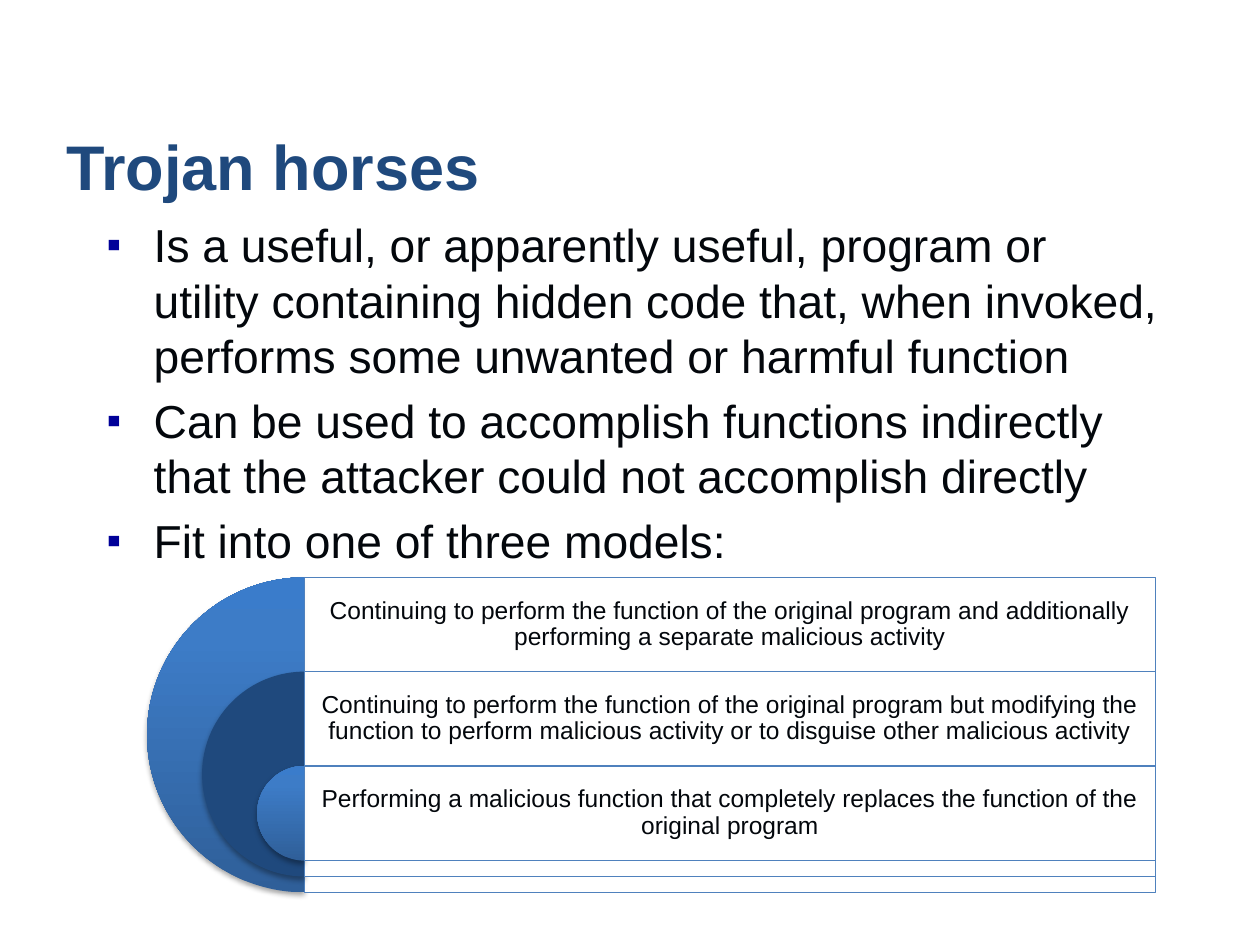
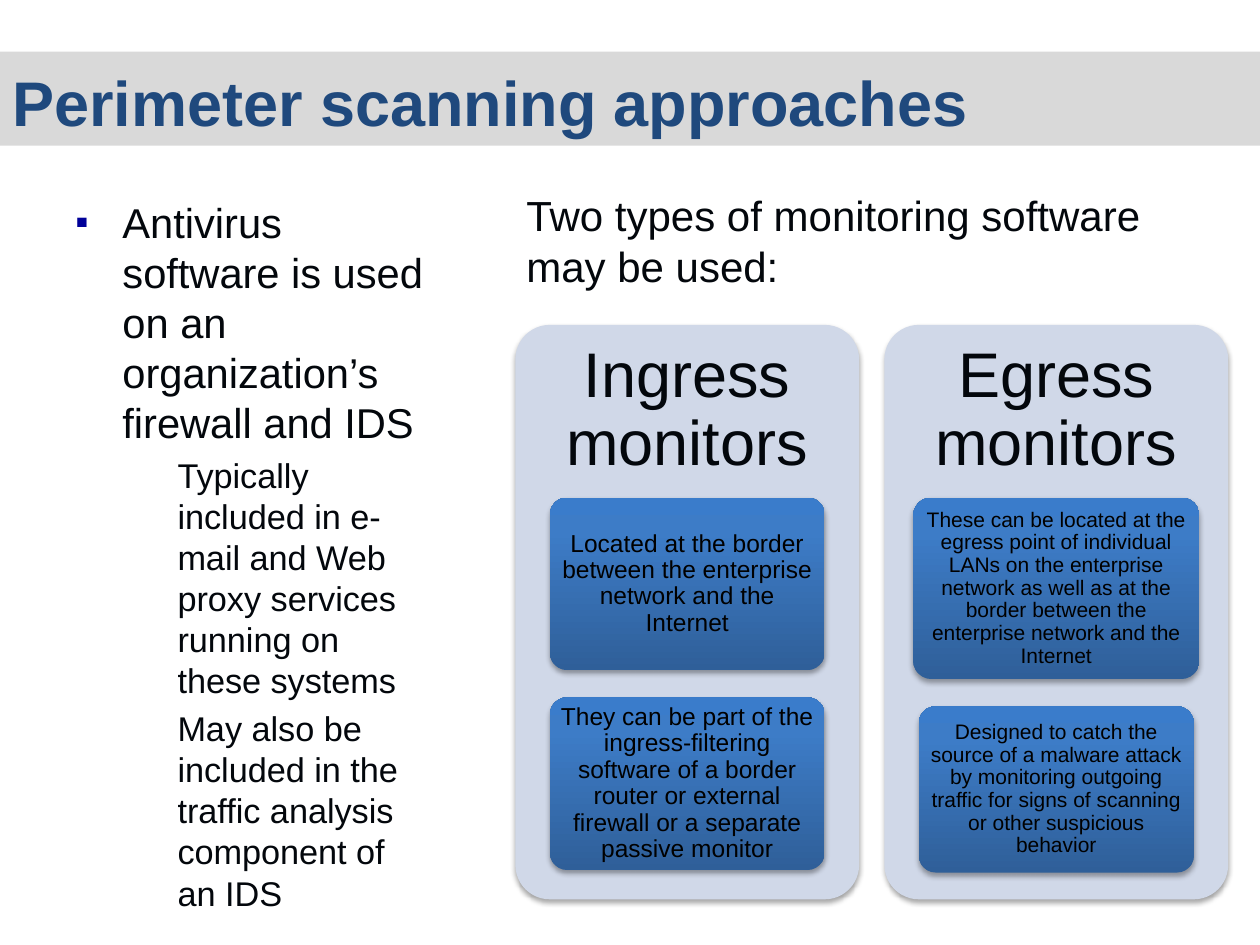
"""Build two slides on Trojan horses and perimeter scanning."""
from copy import deepcopy

from lxml import etree
from pptx import Presentation
from pptx.dml.color import RGBColor
from pptx.enum import shapes, text
from pptx.oxml.ns import qn
from pptx.util import Cm, Pt

NAVY = RGBColor(0x1F, 0x49, 0x7D)
INK = RGBColor(0x03, 0x07, 0x0C)
BLACK = RGBColor(0, 0, 0)
WHITE = RGBColor(0xFF, 0xFF, 0xFF)
BAND = RGBColor(0xD9, 0xD9, 0xD9)
CARD = RGBColor(0xD0, 0xD8, 0xE8)
EDGE = RGBColor(0x4F, 0x81, 0xBD)
BULLET = RGBColor(0, 0, 0x99)
GLOSS = [(0, RGBColor(0x2F, 0x5F, 0x99)), (0.8, RGBColor(0x3D, 0x7C, 0xC7)),
         (1, RGBColor(0x3A, 0x7C, 0xCB))]
FONT = "Arial"
SHAPE = shapes.MSO_SHAPE
TOP, MIDDLE, BOTTOM = (text.MSO_ANCHOR.TOP, text.MSO_ANCHOR.MIDDLE,
                       text.MSO_ANCHOR.BOTTOM)

TROJAN_POINTS = [
    (0, "Is a useful, or apparently useful, program or utility containing "
        "hidden code that, when invoked, performs some unwanted or harmful function"),
    (0, "Can be used to accomplish functions indirectly that the attacker "
        "could not accomplish directly"),
    (0, "Fit into one of three models:"),
]
MODELS = [
    "Continuing to perform the function of the original program and "
    "additionally performing a separate malicious activity",
    "Continuing to perform the function of the original program but modifying "
    "the function to perform malicious activity or to disguise other malicious activity",
    "Performing a malicious function that completely replaces the function of "
    "the original program",
]
SCANNING_POINTS = [
    (0, "Antivirus software is used on an organization’s firewall and IDS"),
    (1, "Typically included in e-mail and Web proxy services running on these systems"),
    (1, "May also be included in the traffic analysis component of an IDS"),
]
MONITORS_INTRO = "Two types of monitoring software may be used:"
MONITORS = [
    ("Ingress monitors", 14, [
        (5.54, 3.48, "Located at the border between the enterprise network and the Internet"),
        (5.54, 3.48, "They can be part of the ingress-filtering software of a border "
                     "router or external firewall or a separate passive monitor")]),
    ("Egress monitors", 12, [
        (5.77, 3.66, "These can be located at the egress point of individual LANs on the "
                     "enterprise network as well as at the border between the enterprise "
                     "network and the Internet"),
        (5.54, 3.35, "Designed to catch the source of a malware attack by monitoring "
                     "outgoing traffic for signs of scanning or other suspicious behavior")]),
]


def set_frame(tf, anchor=TOP, inset=(0.25, 0.13)):
    """Set wrapping, anchor and insets of a text frame."""
    dx, dy = map(Cm, inset)
    values = dict(word_wrap=True, vertical_anchor=anchor, margin_left=dx,
                  margin_right=dx, margin_top=dy, margin_bottom=dy)
    for name, value in values.items():
        setattr(tf, name, value)


def write(p, content, size, color=INK, bold=False):
    """Fill a paragraph with one formatted run."""
    r = p.add_run()
    r.text = content
    for name, value in dict(name=FONT, size=Pt(size), bold=bold).items():
        setattr(r.font, name, value)
    r.font.color.rgb = color


def write_centered(tf, content, size, inset, color=INK):
    """Fill a frame with one tight centred paragraph."""
    set_frame(tf, MIDDLE, inset)
    p = tf.paragraphs[0]
    p.alignment, p.line_spacing = text.PP_ALIGN.CENTER, 0.9
    write(p, content, size, color)


def add_box(s, *box):
    """Add a text box and return its frame."""
    return s.shapes.add_textbox(*map(Cm, box)).text_frame


def add_shape(s, kind, box, fill, shadow=True, adjust=()):
    """Add a preset shape with a solid or glossy fill and no line."""
    sp = s.shapes.add_shape(kind, *map(Cm, box))
    sp.shadow.inherit = False
    sp.line.fill.background()
    for i, value in enumerate(adjust):
        sp.adjustments[i] = value
    spPr = sp._element.spPr
    if fill is GLOSS:
        sp.fill.gradient()
        sp.fill.gradient_angle = 90
        stops = spPr.find(".//" + qn("a:gsLst"))
        stops.append(deepcopy(stops[-1]))
        for stop, (position, color) in zip(sp.fill.gradient_stops, GLOSS):
            stop.position, stop.color.rgb = position, color
    else:
        sp.fill.solid()
        sp.fill.fore_color.rgb = fill
    if shadow:
        outer = etree.SubElement(
            spPr.find(qn("a:effectLst")), qn("a:outerShdw"), blurRad=str(Pt(3.1)),
            dist=str(Pt(1.8)), dir="5400000", rotWithShape="0")
        shade = etree.SubElement(outer, qn("a:srgbClr"), val=str(BLACK))
        etree.SubElement(shade, qn("a:alpha"), val="35000")
    return sp


def write_title(tf, content):
    """Write the slide title."""
    set_frame(tf, BOTTOM)
    tf.paragraphs[0].alignment = text.PP_ALIGN.LEFT
    write(tf.paragraphs[0], content, 36, NAVY, True)


def add_points(s, box, points, sizes):
    """Add the body text, with square bullets on its first level."""
    tf = add_box(s, *box)
    set_frame(tf)
    for i, (level, content) in enumerate(points):
        p = tf.add_paragraph() if i else tf.paragraphs[0]
        pPr = p._p.get_or_add_pPr()
        if level:
            pPr.set("marL", str(Cm(2.06)))
        else:
            pPr.set("marL", str(Cm(0.95)))
            pPr.set("indent", str(Cm(-0.95)))
            tint = etree.SubElement(pPr, qn("a:buClr"))
            etree.SubElement(tint, qn("a:srgbClr"), val=str(BULLET))
            etree.SubElement(pPr, qn("a:buSzPct"), val="90000")
            etree.SubElement(pPr, qn("a:buFont"), typeface=FONT)
            etree.SubElement(pPr, qn("a:buChar"), char="▪")
        if i:
            p.space_before = Pt(round(sizes[level] * 0.2, 1))
        write(p, content, sizes[level])


def build_trojans(s):
    """Show the Trojan horse points and the three nested models."""
    write_title(add_box(s, 1.09, 2.54, 23.4, 1.68), "Trojan horses")
    add_points(s, (1.9, 4.24, 21.8, 7.62), TROJAN_POINTS, [26.4])
    left, top, width, row, largest, shrink = 6.14, 11.64, 17.15, 1.9, 6.35, 2.22
    for i, model in enumerate(MODELS):
        size, y = largest - i * shrink, top + i * row
        add_shape(s, SHAPE.PIE, (left - size / 2, y, size, size),
                  NAVY if i % 2 else GLOSS, adjust=(54, 162))
        panel = add_shape(s, SHAPE.RECTANGLE, (left, y, width, size), WHITE, False)
        panel.line.color.rgb, panel.line.width = EDGE, Pt(0.75)
        tint = panel._element.spPr.find(qn("a:solidFill"))[0]
        etree.SubElement(tint, qn("a:alpha"), val="90000")
        write_centered(add_box(s, left, y, width, row), model, 14, (0.15, 0.15))


def build_scanning(s):
    """Show the scanning points and the two kinds of monitor."""
    band = add_shape(s, SHAPE.RECTANGLE, (0, 1.04, 25.4, 1.9), BAND, False)
    write_title(band.text_frame, "Perimeter scanning approaches")
    add_points(s, (1.27, 3.84, 7.62, 13.77), SCANNING_POINTS, [23.8, 19.6])
    left, top, width, height, step, head, gap = 10.39, 6.55, 6.93, 11.58, 7.44, 3.48, 0.55
    for i, (heading, size, tiles) in enumerate(MONITORS):
        x, y = left + i * step, top + head
        add_shape(s, SHAPE.ROUNDED_RECTANGLE, (x, top, width, height), CARD, adjust=(0.1,))
        write_centered(add_box(s, x, top, width, head), heading, 36, (0.38, 0.38))
        for tile_width, tile_height, content in tiles:
            tile = add_shape(s, SHAPE.ROUNDED_RECTANGLE,
                             (x + (width - tile_width) / 2, y, tile_width, tile_height),
                             GLOSS, adjust=(0.1,))
            write_centered(tile.text_frame, content, size, (0.09, 0.08), BLACK)
            y += tile_height + gap
    tf = add_box(s, 10.36, 3.7, 14.4, 2.2)
    set_frame(tf)
    write(tf.paragraphs[0], MONITORS_INTRO, 24)


def main():
    """Build and save the presentation."""
    prs = Presentation()
    prs.slide_width, prs.slide_height = Cm(25.4), Cm(19.05)
    for build in (build_trojans, build_scanning):
        build(prs.slides.add_slide(prs.slide_layouts[6]))
    prs.save("out.pptx")


if __name__ == "__main__":
    main()
